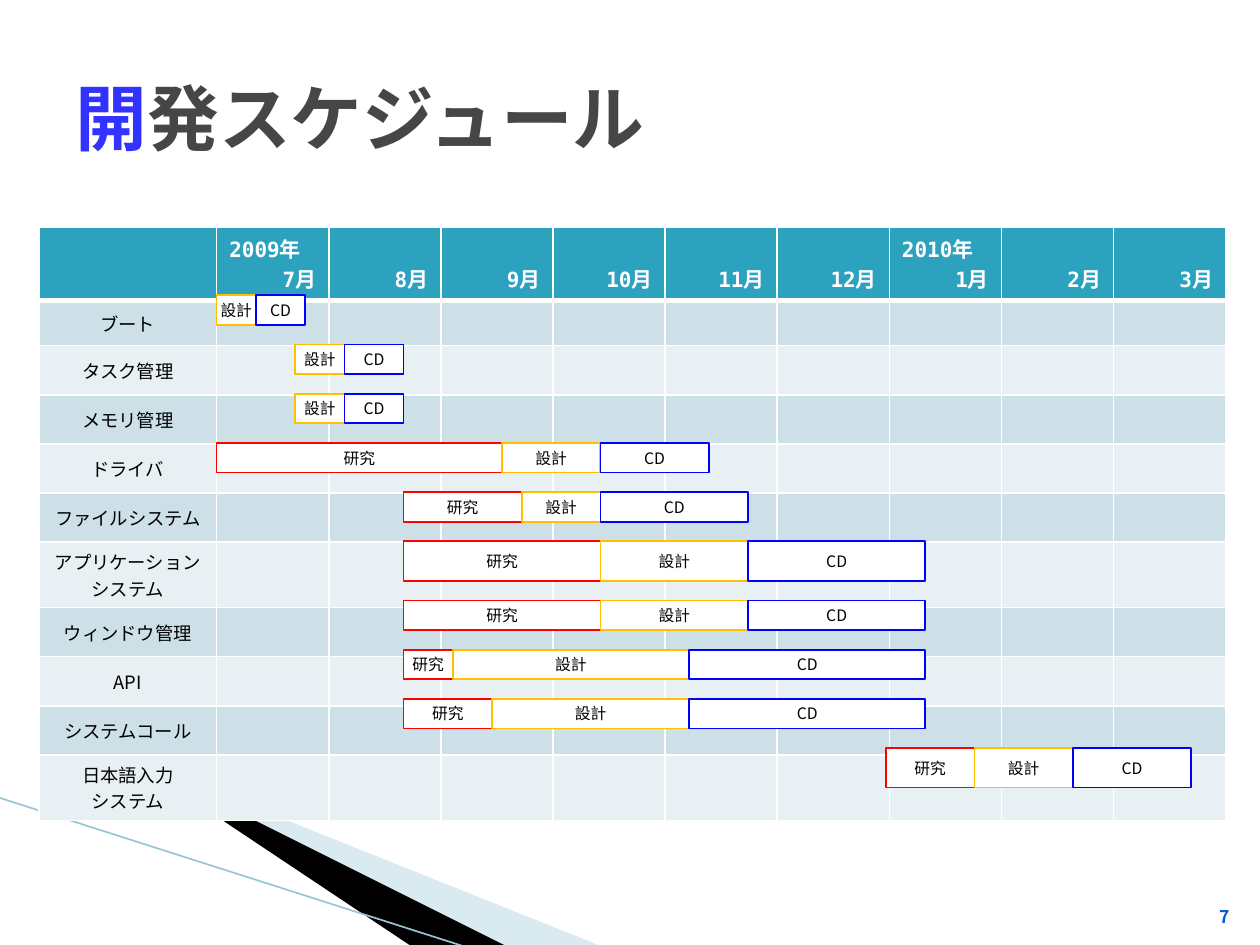
import lxml.etree
import pptx
import pptx.dml.color
import pptx.enum.shapes
import pptx.enum.text
import pptx.oxml.ns
import pptx.util

Inches = pptx.util.Inches
Pt = pptx.util.Pt
qn = pptx.oxml.ns.qn
ALIGN = pptx.enum.text.PP_ALIGN
ANCHOR = pptx.enum.text.MSO_ANCHOR

SANS = "Noto Sans CJK JP"
MONO = "DejaVu Sans Mono"
UNIT = 5 / 64
LABEL_WIDTH, MONTH_WIDTH = 1.41, 0.89
HEADER_HEIGHT = 0.58
PHASE_COLORS = {"研究": "FF0000", "設計": "FFC000", "CD": "0000FF"}
MONTHS = ["2009年\n7月", "8月", "9月", "10月", "11月", "12月", "2010年\n1月", "2月", "3月"]

# Label, row height, bar top, bar height, and phase boundaries; bars are in grid units.
TASKS = [
    ("ブート", 0.36, 30, 3, (22, 26, 31)),
    ("タスク管理", 0.39, 35, 3, (30, 35, 41)),
    ("メモリ管理", 0.39, 40, 3, (30, 35, 41)),
    ("ドライバ", 0.39, 45, 3, (22, 51, 61, 72)),
    ("ファイルシステム", 0.39, 50, 3, (41, 53, 61, 76)),
    ("アプリケーション\vシステム", 0.52, 55, 4, (41, 61, 76, 94)),
    ("ウィンドウ管理", 0.39, 61, 3, (41, 61, 76, 94)),
    ("API", 0.39, 66, 3, (41, 46, 70, 94)),
    ("システムコール", 0.39, 71, 3, (41, 50, 70, 94)),
    ("日本語入力\vシステム", 0.52, 76, 4, (90, 99, 109, 121)),
]


def color(value):
    """Return the colour of a hex string."""
    return pptx.dml.color.RGBColor.from_string(value)


def format_run(run, size, fill, bold=False, font=SANS):
    """Set the size, colour, weight and typefaces of a run."""
    run.font.size = Pt(size)
    run.font.bold = bold
    run.font.color.rgb = color(fill)
    run.font.name = font
    properties = run.font._element
    lxml.etree.SubElement(properties, qn("a:ea"), typeface=SANS)


def format_paragraph(paragraph, alignment, size, fill, bold=False, font=SANS):
    """Align a paragraph and format its runs and line breaks."""
    paragraph.alignment = alignment
    for run in paragraph.runs:
        format_run(run, size, fill, bold, font)
    for line_break in paragraph._p.findall(qn("a:br")):
        lxml.etree.SubElement(line_break, qn("a:rPr"), sz=str(int(size * 100)))


def set_margins(text_frame):
    """Remove the inner margins of a text frame."""
    text_frame.margin_left = text_frame.margin_right = 0
    text_frame.margin_top = text_frame.margin_bottom = 0


def set_borders(cell, bottom_width):
    """Draw white borders around a table cell."""
    properties = cell._tc.get_or_add_tcPr()
    widths = {"a:lnL": 1, "a:lnR": 1, "a:lnT": 1, "a:lnB": bottom_width}
    for position, (tag, width) in enumerate(widths.items()):
        line = lxml.etree.Element(qn(tag), w=str(Pt(width)))
        fill = lxml.etree.SubElement(line, qn("a:solidFill"))
        lxml.etree.SubElement(fill, qn("a:srgbClr"), val="FFFFFF")
        properties.insert(position, line)


def fill_cell(cell, fill, bottom_width=1):
    """Fill a table cell and set its borders."""
    cell.fill.solid()
    cell.fill.fore_color.rgb = color(fill)
    set_borders(cell, bottom_width)


def add_wedge(slide, points, fill, opacity=100):
    """Add a filled outline without a border."""
    builder = slide.shapes.build_freeform(*points[0], scale=Inches(1))
    builder.add_line_segments(points[1:], close=True)
    shape = builder.convert_to_shape()
    shape.shadow.inherit = False
    shape.fill.solid()
    shape.fill.fore_color.rgb = color(fill)
    shape.line.fill.background()
    if opacity < 100:
        fill_color = shape._element.spPr.find(".//" + qn("a:srgbClr"))
        lxml.etree.SubElement(fill_color, qn("a:alpha"), val=str(opacity * 1000))


def add_decoration(slide):
    """Add the wedges and the line in the lower left corner."""
    add_wedge(slide, [(0.55, 6.5), (5.95, 7.51), (4.56, 7.51)], "A0CBDC", 40)
    add_wedge(slide, [(0.53, 6.49), (4.57, 7.51), (3.72, 7.52)], "000000")
    line = slide.shapes.add_connector(
        pptx.enum.shapes.MSO_CONNECTOR.STRAIGHT,
        Inches(-0.01), Inches(6.33), Inches(3.71), Inches(7.52))
    line.line.color.rgb = color("97C5D8")
    line.line.width = Pt(0.95)
    lxml.etree.SubElement(line._element.spPr, qn("a:effectLst"))


def set_title(slide):
    """Place the title and highlight its first character."""
    title = slide.shapes.title
    title.left, title.top = Inches(0.5), Inches(0.3)
    title.width, title.height = Inches(9), Inches(1.25)
    title.text_frame.vertical_anchor = ANCHOR.MIDDLE
    paragraph = title.text_frame.paragraphs[0]
    paragraph.alignment = ALIGN.LEFT
    for text, fill in (("開", "3333FF"), ("発スケジュール", "464646")):
        run = paragraph.add_run()
        run.text = text
        format_run(run, 41, fill, True)


def add_schedule_table(slide):
    """Add the table of months and tasks."""
    heights = [HEADER_HEIGHT] + [task[1] for task in TASKS]
    width = LABEL_WIDTH + MONTH_WIDTH * len(MONTHS)
    table = slide.shapes.add_table(
        len(heights), len(MONTHS) + 1, Inches(0.31), Inches(1.8),
        Inches(width), Inches(sum(heights))).table
    for index, column in enumerate(table.columns):
        column.width = Inches(MONTH_WIDTH if index else LABEL_WIDTH)
    for row, height in zip(table.rows, heights):
        row.height = Inches(height)

    for cell, text in zip(table.rows[0].cells, [""] + MONTHS):
        fill_cell(cell, "2DA2BF", 3)
        cell.vertical_anchor = ANCHOR.BOTTOM
        cell.text_frame.text = text
        for paragraph in cell.text_frame.paragraphs:
            alignment = ALIGN.LEFT if paragraph.text.endswith("年") else ALIGN.RIGHT
            format_paragraph(paragraph, alignment, 12, "FFFFFF", True, MONO)

    for index, task in enumerate(TASKS, 1):
        for cell in table.rows[index].cells:
            fill_cell(cell, "CDE0E8" if index % 2 else "E8F0F4")
            cell.margin_top = cell.margin_bottom = 0
            cell.vertical_anchor = ANCHOR.MIDDLE
        label = table.cell(index, 0).text_frame.paragraphs[0]
        label.text = task[0]
        format_paragraph(label, ALIGN.CENTER, 10.5, "000000")


def add_bar(slide, phase, start, end, top, height):
    """Add the bar of one phase, placed in grid units."""
    shape = slide.shapes.add_shape(
        pptx.enum.shapes.MSO_SHAPE.RECTANGLE,
        Inches(start * UNIT), Inches(top * UNIT),
        Inches((end - start) * UNIT), Inches(height * UNIT))
    shape.shadow.inherit = False
    shape.fill.solid()
    shape.fill.fore_color.rgb = color("FFFFFF")
    shape.line.color.rgb = color(PHASE_COLORS[phase])
    shape.line.width = Pt(1)
    text_frame = shape.text_frame
    set_margins(text_frame)
    text_frame.word_wrap = False
    text_frame.vertical_anchor = ANCHOR.MIDDLE
    text_frame.text = phase
    format_paragraph(text_frame.paragraphs[0], ALIGN.CENTER, 9, "000000")


def add_task_bars(slide):
    """Add the consecutive phases of every task."""
    for _, _, top, height, bounds in TASKS:
        phases = list(PHASE_COLORS)[1 - len(bounds):]
        for phase, start, end in zip(phases, bounds, bounds[1:]):
            add_bar(slide, phase, start, end, top, height)


def add_page_number(slide):
    """Add the page number in the lower right corner."""
    box = slide.shapes.add_textbox(Inches(9.46), Inches(7.01), Inches(0.4), Inches(0.4))
    text_frame = box.text_frame
    text_frame.word_wrap = True
    text_frame.vertical_anchor = ANCHOR.BOTTOM
    text_frame.text = "7"
    format_paragraph(text_frame.paragraphs[0], ALIGN.RIGHT, 10, "005AD6", True)


def main():
    """Build the development schedule slide."""
    presentation = pptx.Presentation()
    presentation.slide_width, presentation.slide_height = Inches(10), Inches(7.5)
    slide = presentation.slides.add_slide(presentation.slide_layouts[5])
    add_decoration(slide)
    add_schedule_table(slide)
    add_page_number(slide)
    set_title(slide)
    add_task_bars(slide)
    presentation.save("out.pptx")


if __name__ == "__main__":
    main()
